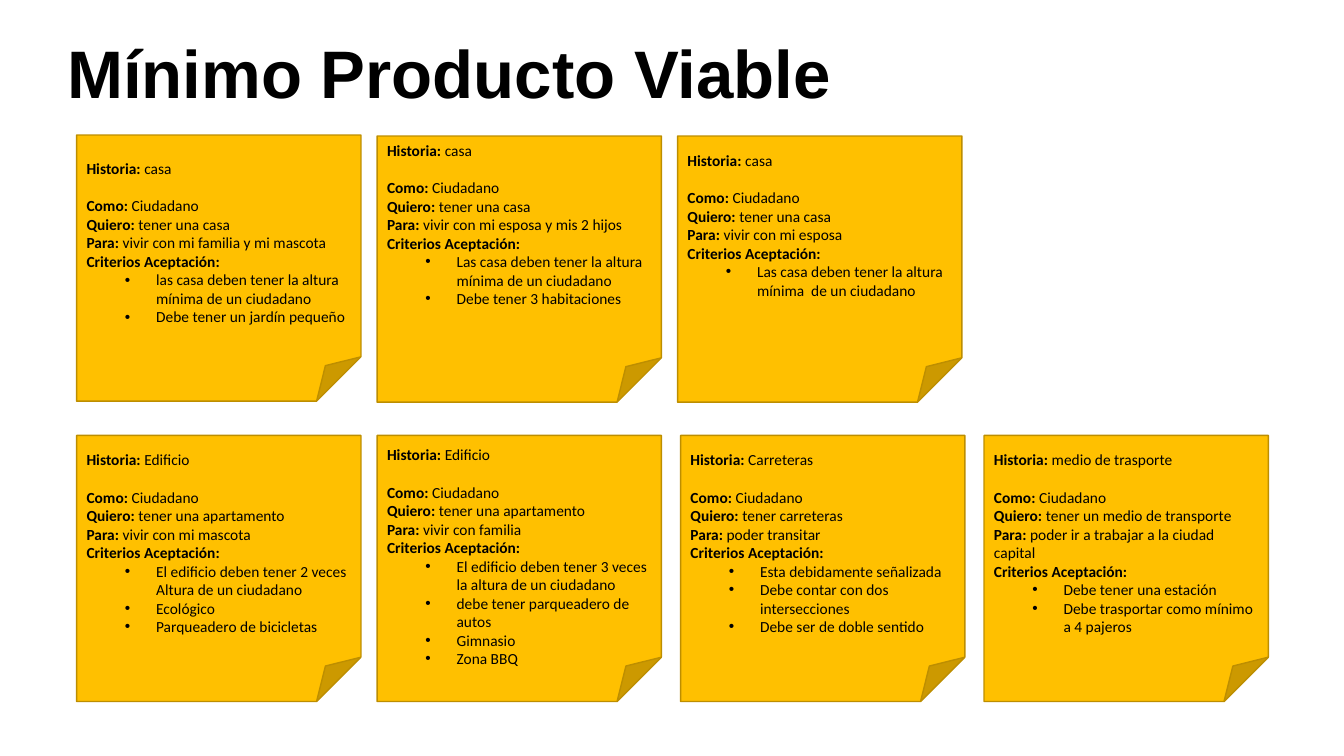
from dataclasses import dataclass

from lxml.etree import SubElement
from pptx import Presentation
from pptx.dml.color import RGBColor
from pptx.enum.shapes import MSO_SHAPE
from pptx.enum.text import MSO_ANCHOR, MSO_AUTO_SIZE, PP_ALIGN
from pptx.oxml.ns import qn
from pptx.util import Inches, Pt


@dataclass(frozen=True)
class Theme:
    text: RGBColor = RGBColor(0x00, 0x00, 0x00)
    note: RGBColor = RGBColor(0xFF, 0xC0, 0x00)
    note_line: RGBColor = RGBColor(0xBD, 0x8E, 0x00)
    title_font: str = "Arial"
    note_font: str = "Calibri"
    title_size: int = 48
    note_size: int = 11
    story_gap: float = 13.4


theme = Theme()
NOTE_WIDTH, NOTE_HEIGHT = 2.82, 2.64

# left, top, text inset, historia, quiero, para, criterios
stories = [
    (0.76, 1.34, 0.24, "casa", "tener una casa", "vivir con mi familia y mi mascota",
     ["las casa deben tener la altura mínima de un ciudadano",
      "Debe tener un jardín pequeño"]),
    (3.74, 1.35, 0.05, "casa", "tener una casa", "vivir con mi esposa y mis 2 hijos",
     ["Las casa deben tener la altura mínima de un ciudadano",
      "Debe tener 3 habitaciones"]),
    (6.72, 1.35, 0.15, "casa", "tener una casa", "vivir con mi esposa",
     ["Las casa deben tener la altura mínima  de un ciudadano"]),
    (0.76, 4.32, 0.15, "Edificio", "tener una apartamento", "vivir con mi mascota",
     ["El edificio deben tener 2 veces Altura de un ciudadano",
      "Ecológico",
      "Parqueadero de bicicletas"]),
    (3.74, 4.32, 0.1, "Edificio", "tener una apartamento", "vivir con familia",
     ["El edificio deben tener 3 veces la altura de un ciudadano",
      "debe tener parqueadero de autos",
      "Gimnasio",
      "Zona BBQ"]),
    (6.75, 4.32, 0.15, "Carreteras", "tener carreteras", "poder transitar",
     ["Esta debidamente señalizada",
      "Debe contar con dos intersecciones",
      "Debe ser de doble sentido"]),
    (9.76, 4.32, 0.15, "medio de trasporte", "tener un medio de transporte",
     "poder ir a trabajar a la ciudad capital",
     ["Debe tener una estación",
      "Debe trasportar como mínimo a 4 pajeros"]),
]


def add_run(paragraph, text, font_name, size, bold=False):
    run = paragraph.add_run()
    run.text = text
    run.font.name = font_name
    run.font.size = Pt(size)
    run.font.bold = bold
    run.font.color.rgb = theme.text


def add_bullet(paragraph):
    paragraph.level = 1
    properties = paragraph._p.get_or_add_pPr()
    properties.set("marL", str(Inches(0.69)))
    properties.set("indent", str(Inches(-0.31)))
    SubElement(properties, qn("a:buFont")).set("typeface", "Arial")
    SubElement(properties, qn("a:buChar")).set("char", "•")


presentation = Presentation()
presentation.slide_width = Inches(13.33)
presentation.slide_height = Inches(7.5)
slide = presentation.slides.add_slide(presentation.slide_layouts[6])

for left, top, inset, historia, quiero, para, criterios in stories:
    note = slide.shapes.add_shape(
        MSO_SHAPE.FOLDED_CORNER, Inches(left), Inches(top),
        Inches(NOTE_WIDTH), Inches(NOTE_HEIGHT))
    note.shadow.inherit = False
    note.fill.solid()
    note.fill.fore_color.rgb = theme.note
    note.line.color.rgb = theme.note_line
    note.line.width = Pt(1)

    frame = note.text_frame
    frame.word_wrap = True
    frame.vertical_anchor = MSO_ANCHOR.TOP
    frame.margin_top = Inches(inset)
    frame.margin_bottom = 0

    lines = [
        ("Historia:", f" {historia}"),
        ("Como: ", "Ciudadano"),
        ("Quiero: ", quiero),
        ("Para: ", para),
        ("Criterios Aceptación:", ""),
    ] + [("", criterio) for criterio in criterios]

    for index, (label, detail) in enumerate(lines):
        paragraph = frame.add_paragraph() if index else frame.paragraphs[0]
        paragraph.alignment = PP_ALIGN.LEFT
        if index == 0:
            paragraph.space_after = Pt(theme.story_gap)
        if label:
            add_run(paragraph, label, theme.note_font, theme.note_size, bold=True)
        else:
            add_bullet(paragraph)
        if detail:
            add_run(paragraph, detail, theme.note_font, theme.note_size)

title = slide.shapes.add_textbox(Inches(0.57), Inches(0.26), Inches(7.84), Inches(0.91))
title.text_frame.word_wrap = False
title.text_frame.auto_size = MSO_AUTO_SIZE.SHAPE_TO_FIT_TEXT
add_run(title.text_frame.paragraphs[0], "Mínimo Producto Viable",
        theme.title_font, theme.title_size, bold=True)

presentation.save("out.pptx")
